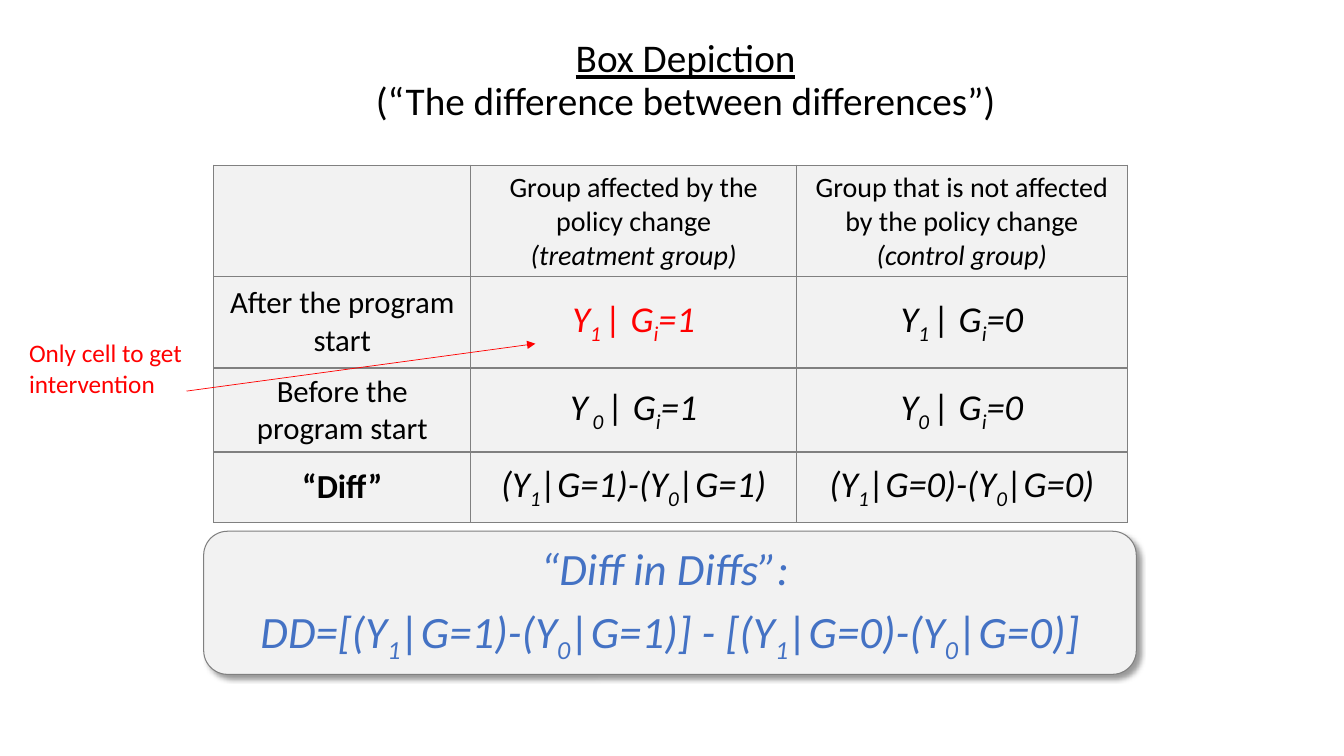
from dataclasses import dataclass

import pptx
import pptx.dml.color
import pptx.enum.shapes
import pptx.enum.text
import pptx.oxml
import pptx.oxml.ns
import pptx.util
from pptx.util import Inches

ANCHOR = pptx.enum.text.MSO_ANCHOR
ALIGN = pptx.enum.text.PP_ALIGN
DRAWING = pptx.oxml.ns.nsdecls("a")


@dataclass(frozen=True)
class Theme:
    font: str = "Calibri"
    ink: str = "000000"
    accent: str = "FF0000"
    result: str = "4472C4"
    panel: str = "F2F2F2"
    border: str = "808080"
    note_size: int = 18
    header_size: int = 20
    label_size: int = 22
    diff_size: int = 24
    formula_size: int = 26
    title_size: int = 28
    result_size: int = 32


THEME = Theme()


def rgb(value):
    return pptx.dml.color.RGBColor.from_string(value)


def add_paragraph(frame, text, size, color=THEME.ink, bold=False, italic=False,
                  underline=False, align=ALIGN.CENTER, spacing=None, before=None):
    """Fill the frame's empty first paragraph or append one; ~x~ sets x as a subscript."""
    para = frame.paragraphs[0]
    if para.runs:
        para = frame.add_paragraph()
    para.alignment = align
    para.line_spacing = spacing
    para.space_before = before
    for index, piece in enumerate(text.split("~")):
        span = para.add_run()
        span.text = piece
        font = span.font
        font.name = THEME.font
        font.size = pptx.util.Pt(size)
        font.color.rgb = rgb(color)
        font.bold = bold
        font.italic = italic
        font.underline = underline
        if index % 2:
            span._r.get_or_add_rPr().set("baseline", "-25000")


def add_text_box(page, left, top, width, height, anchor=ANCHOR.TOP):
    box = page.shapes.add_textbox(Inches(left), Inches(top), Inches(width), Inches(height))
    box.text_frame.word_wrap = True
    box.text_frame.vertical_anchor = anchor
    return box.text_frame


def style_cell(cell):
    """Give the cell the panel fill and a thin border on all four sides."""
    cell.vertical_anchor = ANCHOR.MIDDLE
    properties = cell._tc.get_or_add_tcPr()
    for side in ("lnL", "lnR", "lnT", "lnB"):
        properties.append(pptx.oxml.parse_xml(
            f'<a:{side} {DRAWING} w="12700"><a:solidFill>'
            f'<a:srgbClr val="{THEME.border}"/></a:solidFill></a:{side}>'))
    cell.fill.solid()
    cell.fill.fore_color.rgb = rgb(THEME.panel)


def add_group_table(page):
    header = {"size": THEME.header_size}
    group = {"size": THEME.header_size, "italic": True}
    label = {"size": THEME.label_size}
    diff = {"size": THEME.diff_size, "bold": True}
    formula = {"size": THEME.formula_size, "italic": True}
    treated = {**formula, "color": THEME.accent}
    rows = [
        [[],
         [("Group affected by the policy change", header), ("(treatment group)", group)],
         [("Group that is not affected by the policy change", header),
          ("(control group)", group)]],
        [[("After the program start", label)],
         [("Y~1 ~| G~i~=1", treated)],
         [("Y~1 ~| G~i~=0", formula)]],
        [[("Before the program start", label)],
         [("Y~ 0 ~| G~i~=1", formula)],
         [("Y~0 ~| G~i~=0", formula)]],
        [[("“Diff”", diff)],
         [("(Y~1~|G=1)-(Y~0~|G=1)", formula)],
         [("(Y~1~|G=0)-(Y~0~|G=0)", formula)]],
    ]
    widths = (2.55, 3.23, 3.28)
    heights = (1.09, 0.91, 0.77, 0.7)
    table = page.shapes.add_table(len(heights), len(widths), Inches(2.12), Inches(1.64),
                                  Inches(sum(widths)), Inches(sum(heights))).table
    table.first_row = table.horz_banding = False
    for column, width in zip(table.columns, widths):
        column.width = Inches(width)
    for row, height, contents in zip(table.rows, heights, rows):
        row.height = Inches(height)
        for cell, lines in zip(row.cells, contents):
            style_cell(cell)
            for text, style in lines:
                add_paragraph(cell.text_frame, text, **style)


def add_result_panel(page):
    panel = page.shapes.add_shape(
        pptx.enum.shapes.MSO_SHAPE.ROUNDED_RECTANGLE,
        Inches(2.02), Inches(5.27), Inches(9.25), Inches(1.42))
    panel.fill.solid()
    panel.fill.fore_color.rgb = rgb(THEME.panel)
    panel.line.color.rgb = rgb(THEME.border)
    panel.line.width = pptx.util.Pt(0.75)
    panel._element.spPr.append(pptx.oxml.parse_xml(
        f'<a:effectLst {DRAWING}><a:outerShdw blurRad="50800" dist="38100" dir="2700000" '
        f'algn="tl" rotWithShape="0"><a:srgbClr val="{THEME.ink}"><a:alpha val="40000"/>'
        '</a:srgbClr></a:outerShdw></a:effectLst>'))
    frame = panel.text_frame
    frame.word_wrap = True
    frame.vertical_anchor = ANCHOR.MIDDLE
    for text in ("“Diff in Diffs”: ", "DD=[(Y~1~|G=1)-(Y~0~|G=1)] - [(Y~1~|G=0)-(Y~0~|G=0)]"):
        add_paragraph(frame, text, THEME.result_size, color=THEME.result, italic=True,
                      before=pptx.util.Pt(0.2 * THEME.result_size))


def add_arrow(page, start, end):
    arrow = page.shapes.add_connector(pptx.enum.shapes.MSO_CONNECTOR.STRAIGHT,
                                      *map(Inches, start + end))
    arrow.line.color.rgb = rgb(THEME.accent)
    arrow.line.width = pptx.util.Pt(0.5)
    arrow.line._get_or_add_ln().append(
        pptx.oxml.parse_xml(f'<a:tailEnd {DRAWING} type="triangle"/>'))
    arrow._element.spPr.append(pptx.oxml.parse_xml(f"<a:effectLst {DRAWING}/>"))


def main():
    deck = pptx.Presentation()
    deck.slide_width, deck.slide_height = Inches(13.33), Inches(7.5)
    page = deck.slides.add_slide(deck.slide_layouts[6])

    title = add_text_box(page, 1.05, 0.08, 11.5, 1.45, anchor=ANCHOR.MIDDLE)
    add_paragraph(title, "Box Depiction", THEME.title_size, underline=True, spacing=0.9)
    add_paragraph(title, "(“The difference between differences”)", THEME.title_size,
                  spacing=0.9)

    add_group_table(page)
    add_result_panel(page)

    note = add_text_box(page, 0.19, 3.3, 2.66, 0.71)
    add_paragraph(note, "Only cell to get intervention", THEME.note_size,
                  color=THEME.accent, align=ALIGN.LEFT)
    add_arrow(page, (1.85, 3.88), (5.31, 3.41))

    deck.save("out.pptx")


if __name__ == "__main__":
    main()
